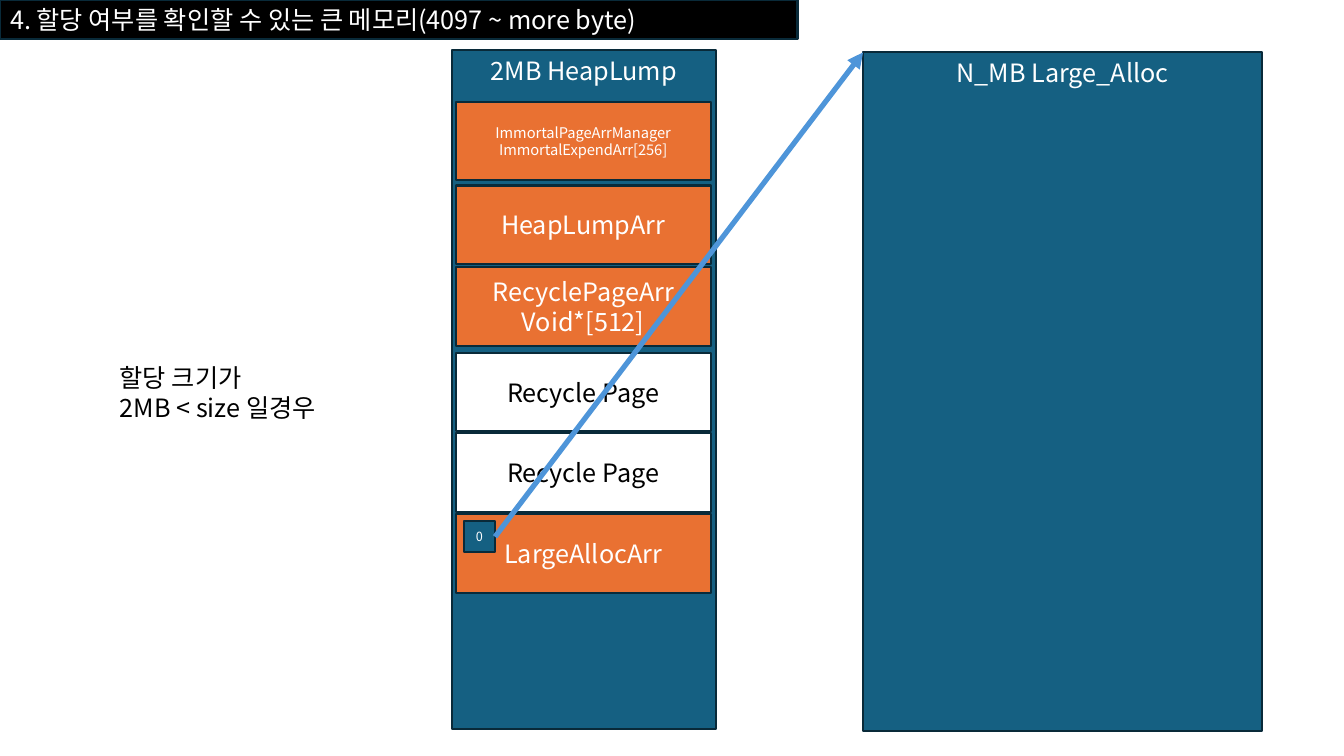
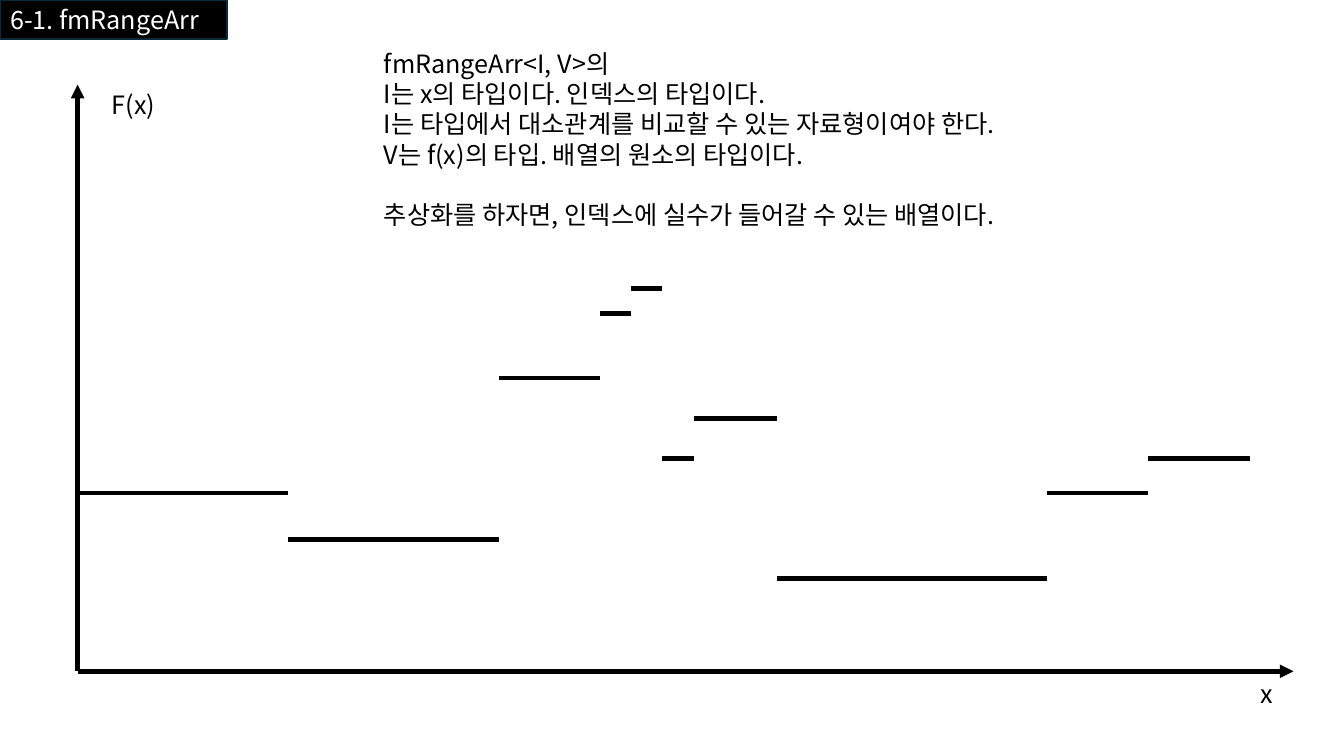
from itertools import pairwise
from lxml.etree import SubElement
from pptx import Presentation
from pptx.dml.color import RGBColor
from pptx.enum.shapes import MSO_CONNECTOR, MSO_SHAPE
from pptx.enum.text import MSO_ANCHOR, MSO_AUTO_SIZE, PP_ALIGN
from pptx.oxml.ns import qn
from pptx.util import Pt

PX = 9144
FONT = "Noto Sans CJK KR"
BLACK = RGBColor(0, 0, 0)
WHITE = RGBColor(255, 255, 255)
TEAL = RGBColor(0x15, 0x60, 0x82)
NAVY = RGBColor(0x09, 0x2A, 0x39)
ORANGE = RGBColor(0xE9, 0x71, 0x32)
BLUE = RGBColor(0x4E, 0x95, 0xD9)
MID = dict(word_wrap=True, vertical_anchor=MSO_ANCHOR.MIDDLE)
TOP = dict(word_wrap=True, vertical_anchor=MSO_ANCHOR.TOP)
GROW = TOP | dict(auto_size=MSO_AUTO_SIZE.SHAPE_TO_FIT_TEXT)
BAND = MID | dict(auto_size=MSO_AUTO_SIZE.NONE)


def style(item, values):
    for key, value in values.items():
        setattr(item, key, value)


def scale(*sizes):
    return [size * PX for size in sizes]


def write(frame, lines, color, size=18, align=PP_ALIGN.LEFT, form=MID):
    style(frame, form)
    for index, line in enumerate(lines):
        para = frame.paragraphs[0] if index == 0 else frame.add_paragraph()
        style(para, dict(alignment=align, line_spacing=Pt(size * 1.2)))
        run = para.add_run()
        run.text = line
        style(run.font, dict(name=FONT, size=Pt(size)))
        run.font.color.rgb = color
        SubElement(run.font._element, qn("a:ea"), typeface=FONT)


def paint(shape, fill):
    shape.fill.solid()
    shape.fill.fore_color.rgb = fill
    shape.line.color.rgb = NAVY
    shape.line.width = Pt(1.5)


def block(slide, box, lines, fill, color=WHITE, size=18, form=MID):
    shape = slide.shapes.add_shape(MSO_SHAPE.RECTANGLE, *scale(*box))
    shape.shadow.inherit = False
    paint(shape, fill)
    write(shape.text_frame, lines, color, size, PP_ALIGN.CENTER, form)
    return shape


def label(slide, box, lines):
    frame = slide.shapes.add_textbox(*scale(*box)).text_frame
    write(frame, lines, BLACK, form=GROW)
    return frame


def line(slide, start, end, color=BLACK, width=3.25, arrow=False):
    link = slide.shapes.add_connector(
        MSO_CONNECTOR.STRAIGHT, *scale(*start, *end))
    link.line.color.rgb = color
    link.line.width = Pt(width)
    if arrow:
        SubElement(link.line._get_or_add_ln(), qn("a:tailEnd"), type="triangle")
    SubElement(link._element.spPr, qn("a:effectLst"))
    return link


def start(deck, text, width):
    slide = deck.slides.add_slide(deck.slide_layouts[5])
    title = slide.shapes.title
    style(title, dict(zip(("left", "top", "width", "height"),
                          scale(0, 0, width, 39))))
    paint(title, BLACK)
    write(title.text_frame, [text], WHITE, form=BAND)
    return slide


def lump(slide, left, top, width, height):
    block(slide, (left, top, width, height), ["2MB HeapLump"], TEAL, form=TOP)
    pages = [
        (51, ["ImmortalPageArrManager", "ImmortalExpendArr[256]"],
         ORANGE, WHITE, 10.5),
        (134, ["HeapLumpArr"], ORANGE, WHITE, 18),
        (215, ["RecyclePageArr", "Void*[512]"], ORANGE, WHITE, 18),
        (300, ["Recycle Page"], WHITE, BLACK, 18),
        (380, ["Recycle Page"], WHITE, BLACK, 18),
        (460, ["LargeAllocArr"], ORANGE, WHITE, 18),
    ]
    for drop, lines, fill, color, size in pages:
        block(slide, (left + 4, top + drop, width - 9, 78),
              lines, fill, color, size)
    return block(slide, (left + 12, top + 467, 31, 31), ["0"], TEAL, size=9)


def memory(deck):
    slide = start(
        deck, "4. 할당 여부를 확인할 수 있는 큰 메모리(4097 ~ more byte)", 791)
    label(slide, (109, 354, 387, 71), ["할당 크기가", "2MB < size 일경우"])
    slot = lump(slide, 448, 50, 262, 673)
    large = (856, 52, 396, 673)
    block(slide, large, ["N_MB Large_Alloc"], TEAL, form=TOP)
    link = line(slide, (491, 533), large[:2], BLUE, 3.75, True)
    link.begin_connect(slot, 3)


def graph(slide, left, top, width, height):
    base = top + height
    line(slide, (left, base), (left, top), arrow=True)
    line(slide, (left, base), (left + width, base), arrow=True)
    edges = [0, 209, 418, 518, 549, 580, 611, 694, 961, 1062, 1163]
    rises = [177, 131, 291, 355, 380, 211, 251, 92, 177, 211]
    for (near, far), rise in zip(pairwise(edges), rises):
        line(slide, (left + near, base - rise), (left + far, base - rise))
    label(slide, (left + width - 43, base + 2, 75, 40), ["x"])
    label(slide, (left + 24, top, 75, 40), ["F(x)"])


def ranges(deck):
    slide = start(deck, "6-1. fmRangeArr", 225)
    graph(slide, 77, 84, 1206, 582)
    notes = label(slide, (371, 43, 818, 192), [
        "fmRangeArr<I, V>의",
        "I는 x의 타입이다. 인덱스의 타입이다.",
        "I는 타입에서 대소관계를 비교할 수 있는 자료형이여야 한다.",
        "V는 f(x)의 타입. 배열의 원소의 타입이다.",
        "추상화를 하자면, 인덱스에 실수가 들어갈 수 있는 배열이다.",
    ])
    notes.paragraphs[-1].space_before = Pt(21.6)


def main():
    deck = Presentation()
    style(deck, dict(slide_width=1333 * PX, slide_height=750 * PX))
    memory(deck)
    ranges(deck)
    deck.save("out.pptx")


if __name__ == "__main__":
    main()
